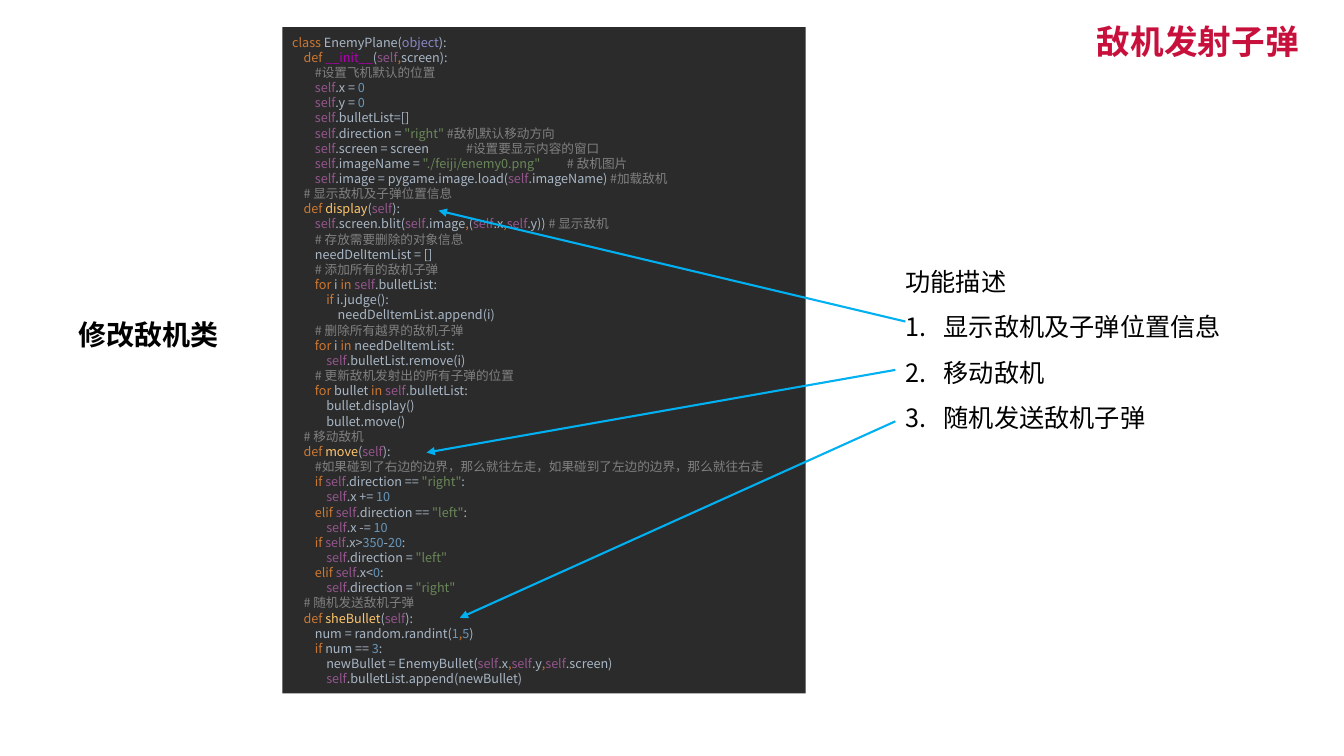
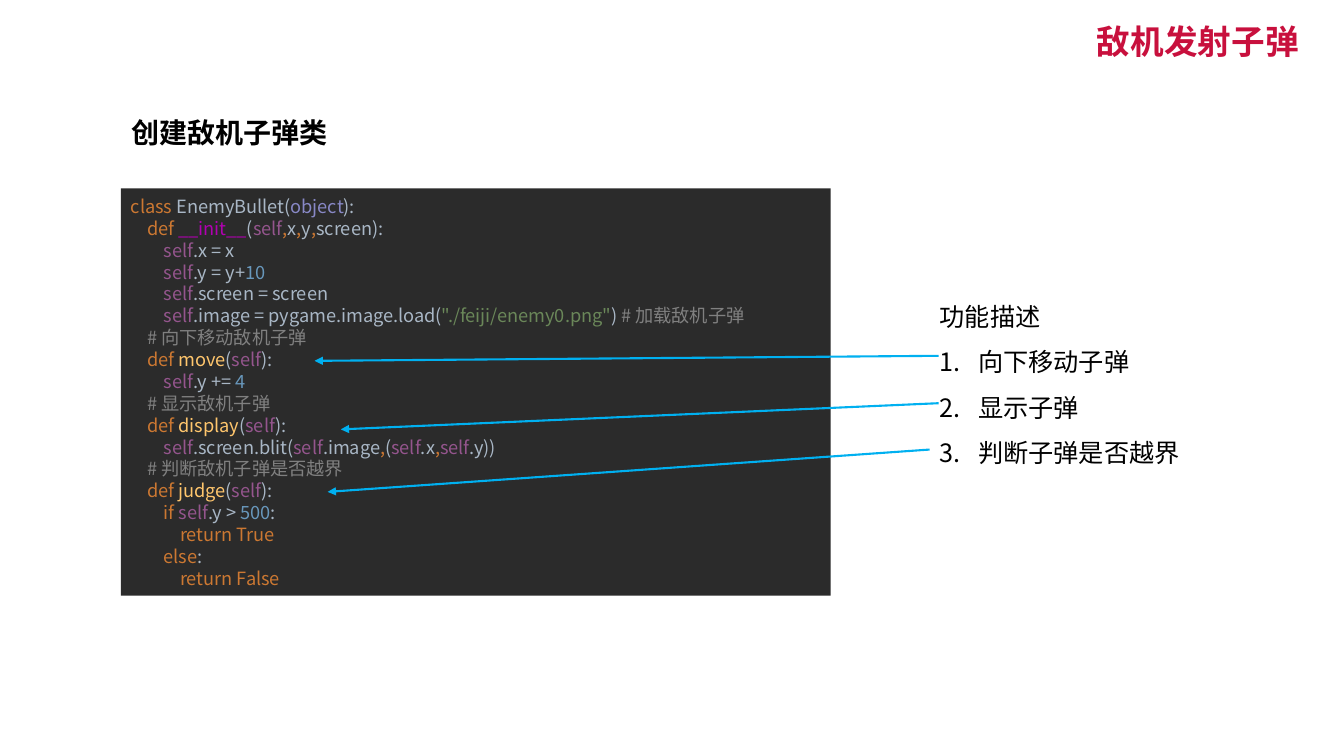
from dataclasses import dataclass
from itertools import groupby

from lxml import etree
from pptx import Presentation
from pptx.dml.color import RGBColor
from pptx.enum.shapes import MSO_CONNECTOR, MSO_SHAPE
from pptx.enum.text import MSO_ANCHOR, MSO_AUTO_SIZE, PP_ALIGN
from pptx.oxml.ns import qn
from pptx.util import Inches, Pt

LEFT, RIGHT = PP_ALIGN.LEFT, PP_ALIGN.RIGHT
TOP, MIDDLE = MSO_ANCHOR.TOP, MSO_ANCHOR.MIDDLE
RECTANGLE, STRAIGHT = MSO_SHAPE.RECTANGLE, MSO_CONNECTOR.STRAIGHT
NO_AUTOFIT = MSO_AUTO_SIZE.NONE


@dataclass(frozen=True)
class Theme:
    font: str = "Noto Sans CJK SC"
    title: str = "C8103D"
    text: str = "000000"
    arrow: str = "00B0F0"
    panel: str = "2B2B2B"
    # Code colours
    plain: str = "A9B7C6"
    keyword: str = "CC7832"
    builtin: str = "8888C6"
    magic: str = "B200B2"
    instance: str = "94558D"
    function: str = "FFC66D"
    number: str = "6897BB"
    string: str = "6A8759"
    comment: str = "808080"
    # Type sizes in points
    title_size: int = 24
    heading_size: int = 20
    list_size: int = 18
    arrow_width: float = 1.5


THEME = Theme()
TITLE = "敌机发射子弹"
TITLE_BOX = (6.67, 0.2, 6.31, 0.41)
LIST_HEADING = "功能描述"
LIST_SIZE = (3.6, 1.92)
LIST_INDENT = 0.38
LEVEL_EM = 0.9              # indent of one code level, in ems
COMMENT_TABS = (1.53, 2.77)  # columns of the tabbed comments

KEYWORDS = {"class", "def", "for", "in", "if", "elif", "else",
            "return", "True", "False"}
SPECIAL_WORDS = {"self": THEME.instance, "object": THEME.builtin,
                 "__init__": THEME.magic}

# Code lines as indent level and text
ENEMY_PLANE = [
    (0, 'class EnemyPlane(object):'),
    (1, 'def __init__(self,screen):'),
    (2, '#设置飞机默认的位置'),
    (2, 'self.x = 0'),
    (2, 'self.y = 0'),
    (2, 'self.bulletList=[]'),
    (2, 'self.direction = "right" #敌机默认移动方向'),
    (2, 'self.screen = screen\t#设置要显示内容的窗口'),
    (2, 'self.imageName = "./feiji/enemy0.png"\t# 敌机图片'),
    (2, 'self.image = pygame.image.load(self.imageName) #加载敌机'),
    (1, '# 显示敌机及子弹位置信息'),
    (1, 'def display(self):'),
    (2, 'self.screen.blit(self.image,(self.x,self.y)) # 显示敌机'),
    (2, '# 存放需要删除的对象信息'),
    (2, 'needDelItemList = []'),
    (2, '# 添加所有的敌机子弹'),
    (2, 'for i in self.bulletList:'),
    (3, 'if i.judge():'),
    (4, 'needDelItemList.append(i)'),
    (2, '# 删除所有越界的敌机子弹'),
    (2, 'for i in needDelItemList:'),
    (3, 'self.bulletList.remove(i)'),
    (2, '# 更新敌机发射出的所有子弹的位置'),
    (2, 'for bullet in self.bulletList:'),
    (3, 'bullet.display()'),
    (3, 'bullet.move()'),
    (1, '# 移动敌机'),
    (1, 'def move(self):'),
    (2, '#如果碰到了右边的边界，那么就往左走，如果碰到了左边的边界，那么就往右走'),
    (2, 'if self.direction == "right":'),
    (3, 'self.x += 10'),
    (2, 'elif self.direction == "left":'),
    (3, 'self.x -= 10'),
    (2, 'if self.x>350-20:'),
    (3, 'self.direction = "left"'),
    (2, 'elif self.x<0:'),
    (3, 'self.direction = "right"'),
    (1, '# 随机发送敌机子弹'),
    (1, 'def sheBullet(self):'),
    (2, 'num = random.randint(1,5)'),
    (2, 'if num == 3:'),
    (3, 'newBullet = EnemyBullet(self.x,self.y,self.screen)'),
    (3, 'self.bulletList.append(newBullet)'),
]

ENEMY_BULLET = [
    (0, 'class EnemyBullet(object):'),
    (1, 'def __init__(self,x,y,screen):'),
    (2, 'self.x = x'),
    (2, 'self.y = y+10'),
    (2, 'self.screen = screen'),
    (2, 'self.image = pygame.image.load("./feiji/enemy0.png") # 加载敌机子弹'),
    (1, '# 向下移动敌机子弹'),
    (1, 'def move(self):'),
    (2, 'self.y += 4'),
    (1, '# 显示敌机子弹'),
    (1, 'def display(self):'),
    (2, 'self.screen.blit(self.image,(self.x,self.y))'),
    (1, '# 判断敌机子弹是否越界'),
    (1, 'def judge(self):'),
    (2, 'if self.y > 500:'),
    (3, 'return True'),
    (2, 'else:'),
    (3, 'return False'),
]

# Boxes are left, top, width, height; arrows are start x, y and end x, y
SLIDES = [
    {
        "heading": "修改敌机类", "heading_box": (0.68, 3.14, 1.94, 0.56),
        "code": ENEMY_PLANE, "code_box": (2.8, 0.27, 5.19, 6.61), "code_size": 9,
        "features": ["显示敌机及子弹位置信息", "移动敌机", "随机发送敌机子弹"],
        "list_at": (8.88, 2.44),
        "arrows": [(8.98, 3.19, 4.35, 2.09), (8.88, 3.67, 4.23, 4.49),
                   (8.88, 4.18, 4.56, 6.13)],
    },
    {
        "heading": "创建敌机子弹类", "heading_box": (1.2, 1.13, 9.65, 0.56),
        "code": ENEMY_BULLET, "code_box": (1.2, 1.87, 7.04, 4.04), "code_size": 13,
        "features": ["向下移动子弹", "显示子弹", "判断子弹是否越界"],
        "list_at": (9.22, 2.79),
        "arrows": [(9.31, 3.53, 3.12, 3.58), (9.31, 4, 3.38, 4.26),
                   (9.22, 4.46, 3.25, 4.88)],
    },
]


def place(shape, box):
    shape.left, shape.top, shape.width, shape.height = map(Inches, box)


def style_run(run, size, color, bold=False):
    run.font.size, run.font.bold = Pt(size), bold
    run.font.color.rgb = RGBColor.from_string(color)
    run.font.name = THEME.font
    east_asian = etree.SubElement(run.font._element, qn("a:ea"))
    east_asian.set("typeface", THEME.font)


def set_indent(paragraph, margin, first_line=0):
    properties = paragraph._p.get_or_add_pPr()
    properties.set("marL", str(Inches(margin)))
    properties.set("indent", str(Inches(first_line)))
    return properties


def fill_placeholder(placeholder, lines, size, color, spacing, bold=False, align=LEFT):
    frame = placeholder.text_frame
    frame.text = "\n".join(lines)
    frame.word_wrap, frame.auto_size = True, NO_AUTOFIT
    frame.vertical_anchor = TOP
    for paragraph in frame.paragraphs:
        paragraph.alignment, paragraph.line_spacing = align, spacing
        paragraph.space_before = Pt(0)
        style_run(paragraph.runs[0], size, color, bold)
    return frame.paragraphs


def set_bullet(paragraph, numbered=False):
    if numbered:
        properties = set_indent(paragraph, LIST_INDENT, -LIST_INDENT)
        etree.SubElement(properties, qn("a:buFont")).set("typeface", "+mj-lt")
        etree.SubElement(properties, qn("a:buAutoNum")).set("type", "arabicPeriod")
    else:
        etree.SubElement(set_indent(paragraph, 0), qn("a:buNone"))


def character_class(char):
    if char.isalnum() or char == "_":
        return "word"
    return "comma" if char == "," else "other"


def word_color(word, previous):
    if word in KEYWORDS:
        return THEME.keyword
    if word in SPECIAL_WORDS:
        return SPECIAL_WORDS[word]
    if word.isdigit():
        return THEME.number
    return THEME.function if previous == "def" else THEME.plain


def highlight(line):
    """Yield the coloured pieces of one line of code."""
    code, mark, comment = line.partition("#")
    previous = ""
    for position, piece in enumerate(code.split('"')):
        if position % 2:
            yield f'"{piece}"', THEME.string
            continue
        for group, chars in groupby(piece, character_class):
            token = "".join(chars)
            if group == "word":
                yield token, word_color(token, previous)
                previous = token
            else:
                yield token, THEME.keyword if group == "comma" else THEME.plain
    if mark:
        yield mark + comment, THEME.comment


def add_code_panel(slide, code, box, size):
    panel = slide.shapes.add_shape(RECTANGLE, *map(Inches, box))
    panel.shadow.inherit = False
    panel.fill.solid()
    panel.fill.fore_color.rgb = RGBColor.from_string(THEME.panel)
    panel.line.fill.background()
    frame = panel.text_frame
    frame.word_wrap, frame.vertical_anchor = True, MIDDLE
    for number, (level, statement) in enumerate(code):
        paragraph = frame.add_paragraph() if number else frame.paragraphs[0]
        paragraph.alignment = LEFT
        properties = set_indent(paragraph, level * LEVEL_EM * size / 72)
        if "\t" in statement:
            tabs = etree.SubElement(properties, qn("a:tabLst"))
            for column in COMMENT_TABS:
                tab = etree.SubElement(tabs, qn("a:tab"))
                tab.set("pos", str(Inches(column)))
                tab.set("algn", "l")
        for text, color in highlight(statement):
            run = paragraph.add_run()
            run.text = text
            style_run(run, size, color)


def add_arrow(slide, ends):
    arrow = slide.shapes.add_connector(STRAIGHT, *map(Inches, ends))
    arrow.line.color.rgb = RGBColor.from_string(THEME.arrow)
    arrow.line.width = Pt(THEME.arrow_width)
    properties = arrow._element.spPr
    etree.SubElement(properties.find(qn("a:ln")), qn("a:tailEnd")).set("type", "triangle")
    etree.SubElement(properties, qn("a:effectLst"))


def build_slide(deck, layout, content):
    slide = deck.slides.add_slide(layout)
    title, heading, features = slide.placeholders

    # Title and class heading
    fill_placeholder(title, [TITLE], THEME.title_size, THEME.title, 0.9, True, RIGHT)
    place(heading, content["heading_box"])
    heading_line, = fill_placeholder(heading, [content["heading"]],
                                     THEME.heading_size, THEME.text, 0.9, True)
    set_bullet(heading_line)

    # Numbered feature list
    place(features, content["list_at"] + LIST_SIZE)
    lines = fill_placeholder(features, [LIST_HEADING, *content["features"]],
                             THEME.list_size, THEME.text, 1.5)
    for number, line in enumerate(lines):
        set_bullet(line, numbered=number > 0)

    # Code and the arrows pointing into it
    add_code_panel(slide, content["code"], content["code_box"], content["code_size"])
    for ends in content["arrows"]:
        add_arrow(slide, ends)


def main():
    deck = Presentation()
    deck.slide_width, deck.slide_height = Inches(13.33), Inches(7.5)
    layout = deck.slide_layouts.get_by_name("Two Content")
    place(layout.placeholders[0], TITLE_BOX)
    for content in SLIDES:
        build_slide(deck, layout, content)
    deck.save("out.pptx")


if __name__ == "__main__":
    main()
